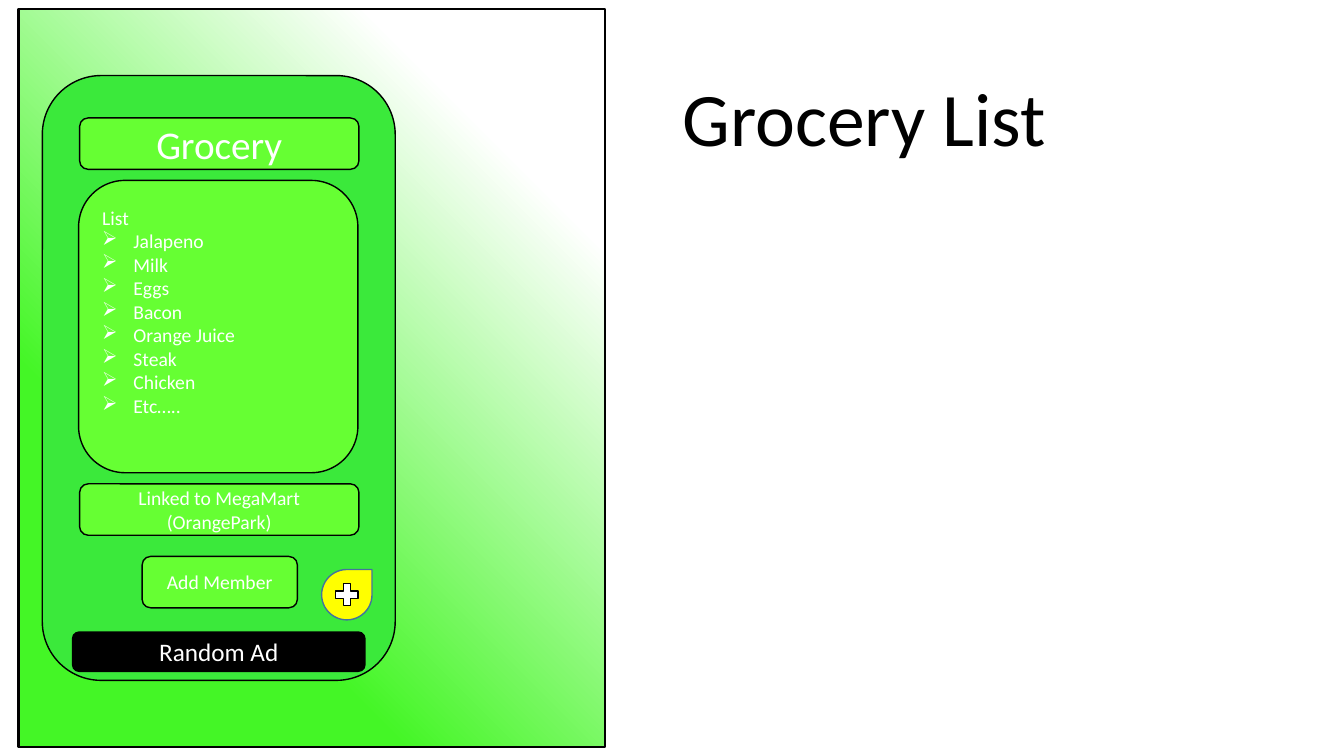
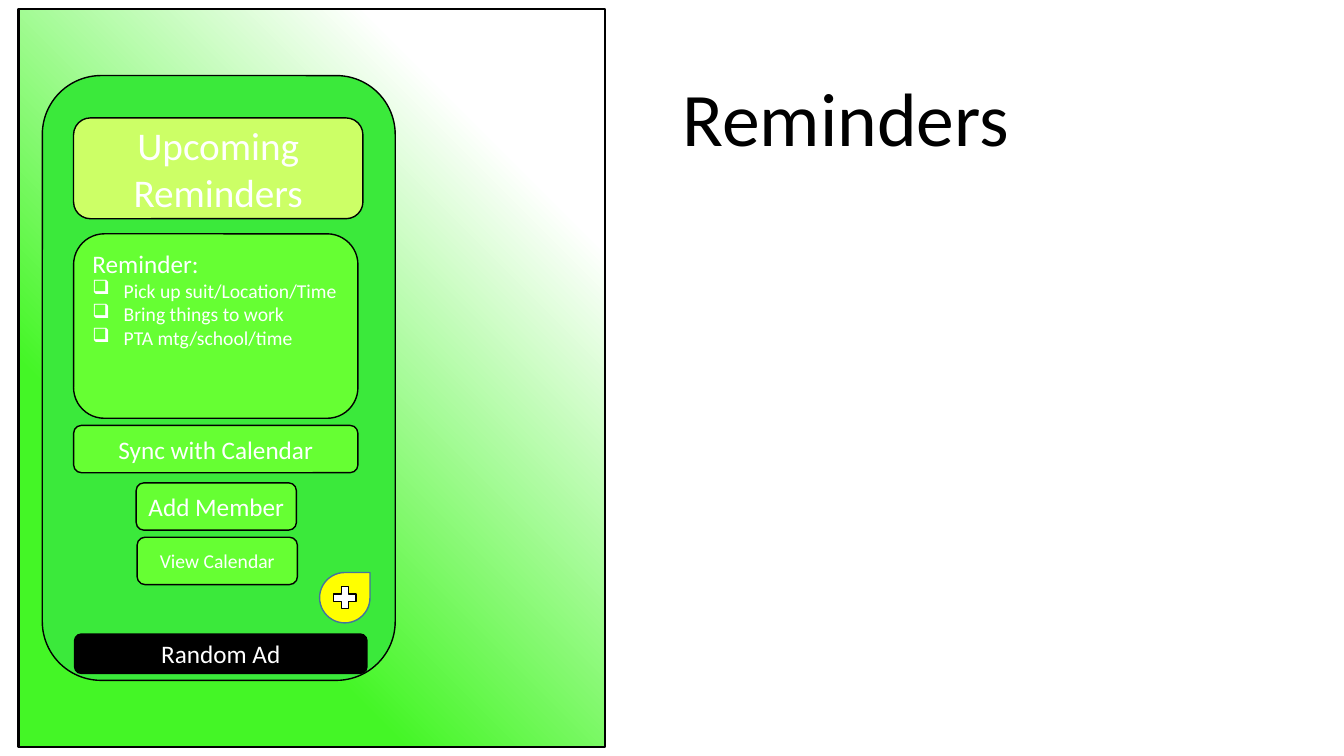
from dataclasses import dataclass
from typing import Any

from pptx import Presentation
from pptx.dml.color import RGBColor
from pptx.enum.shapes import MSO_SHAPE
from pptx.enum.text import MSO_ANCHOR, MSO_AUTO_SIZE, PP_ALIGN
from pptx.oxml import parse_xml
from pptx.oxml.ns import nsdecls, qn
from pptx.util import Inches, Pt

RECT = MSO_SHAPE.RECTANGLE
ROUND = MSO_SHAPE.ROUNDED_RECTANGLE
DROP = MSO_SHAPE.TEAR
PLUS = MSO_SHAPE.MATH_PLUS
MIDDLE = MSO_ANCHOR.MIDDLE
LEFT = PP_ALIGN.LEFT
CENTER = PP_ALIGN.CENTER
GROW = MSO_AUTO_SIZE.SHAPE_TO_FIT_TEXT

FONT = "Calibri"
COLORS = {
    "black": "000000",
    "white": "FFFFFF",
    "glow": "44F626",
    "phone": "3BE93B",
    "key": "66FF33",
    "lime": "CCFF66",
    "yellow": "FFFF00",
    "blue": "43739E",
}
STOPS = ((17, "white"), (18, "white"), (71, "glow"))


@dataclass(frozen=True)
class Box:
    left: float
    top: float
    width: float
    height: float


@dataclass(frozen=True)
class Key:
    box: Box
    text: str
    size: int = 14
    fill: str = "key"


@dataclass(frozen=True)
class Items:
    box: Box
    head: str
    size: int
    mark: str
    lines: tuple[str, ...]
    foot: float


@dataclass(frozen=True)
class Screen:
    title: str
    width: float
    items: Items
    keys: tuple[Key, ...]
    badge: tuple[float, float]


FRAME = Box(0.18, 0.09, 5.82, 7.32)
PHONE = Box(0.42, 0.75, 3.5, 6)

SCREENS = (
    Screen(
        "Grocery List",
        3.85,
        Items(
            Box(0.78, 1.79, 2.77, 2.9), "List", 14, "➢",
            ("Jalapeno", "Milk", "Eggs", "Bacon", "Orange Juice",
             "Steak", "Chicken", "Etc….."),
            0.35,
        ),
        (
            Key(Box(0.79, 1.17, 2.77, 0.51), "Grocery", 28),
            Key(Box(0.79, 4.8, 2.77, 0.51), "Linked to MegaMart (OrangePark)"),
            Key(Box(1.41, 5.52, 1.54, 0.51), "Add Member"),
            Key(Box(0.72, 6.27, 2.9, 0.39), "Random Ad", 18, "black"),
        ),
        (3.19, 5.65),
    ),
    Screen(
        "Reminders",
        3.48,
        Items(
            Box(0.73, 2.32, 2.82, 1.83), "Reminder:", 18, "❑",
            ("Pick up suit/Location/Time", "Bring things to work",
             "PTA mtg/school/time"),
            0.59,
        ),
        (
            Key(Box(0.73, 4.22, 2.82, 0.47), "Sync with Calendar", 18),
            Key(Box(0.73, 1.17, 2.87, 1), "Upcoming Reminders", 28, "lime"),
            Key(Box(1.35, 4.79, 1.59, 0.47), "Add Member", 18),
            Key(Box(0.74, 6.29, 2.9, 0.39), "Random Ad", 18, "black"),
            Key(Box(1.36, 5.33, 1.59, 0.47), "View Calendar"),
        ),
        (3.17, 5.68),
    ),
)


def color(name: str) -> RGBColor:
    return RGBColor.from_string(COLORS[name])


def place(box: Box) -> tuple[int, ...]:
    return tuple(Inches(n) for n in (box.left, box.top, box.width, box.height))


def draw(shapes: Any, kind: Any, box: Box, fill: str = "",
         line: str = "black", weight: float = 1) -> Any:
    shape = shapes.add_shape(kind, *place(box))
    shape.shadow.inherit = False
    if fill:
        shape.fill.solid()
        shape.fill.fore_color.rgb = color(fill)
    shape.line.color.rgb = color(line)
    shape.line.width = Pt(weight)
    return shape


def style(para: Any, size: int, tint: str = "white", align: Any = LEFT) -> None:
    para.alignment = align
    for run in para.runs:
        run.font.name = FONT
        run.font.size = Pt(size)
        run.font.color.rgb = color(tint)


def mark(para: Any, char: str) -> None:
    props = para._p.get_or_add_pPr()
    props.set("marL", str(Inches(0.31)))
    props.set("indent", str(-Inches(0.31)))
    props.append(parse_xml(f'<a:buChar {nsdecls("a")} char="{char}"/>'))


def draw_frame(shapes: Any) -> None:
    frame = draw(shapes, RECT, FRAME, weight=2)
    stops = "".join(
        f'<a:gs pos="{pos * 1000}"><a:srgbClr val="{COLORS[name]}"/></a:gs>'
        for pos, name in STOPS
    )
    blend = parse_xml(
        f'<a:gradFill {nsdecls("a")}><a:gsLst>{stops}</a:gsLst>'
        '<a:path path="circle"><a:fillToRect l="100000" b="100000"/></a:path>'
        '</a:gradFill>'
    )
    frame._element.spPr.find(qn("a:prstGeom")).addnext(blend)


def draw_key(shapes: Any, key: Key) -> None:
    frame = draw(shapes, ROUND, key.box, key.fill).text_frame
    frame.word_wrap = True
    frame.vertical_anchor = MIDDLE
    frame.text = key.text
    style(frame.paragraphs[0], key.size, align=CENTER)


def draw_items(shapes: Any, items: Items) -> None:
    frame = draw(shapes, ROUND, items.box, "key").text_frame
    frame.word_wrap = True
    frame.vertical_anchor = MIDDLE
    frame.margin_bottom = Inches(items.foot)
    frame.text = items.head
    style(frame.paragraphs[0], items.size)
    for line in items.lines:
        para = frame.add_paragraph()
        para.text = line
        style(para, 14)
        mark(para, items.mark)


def draw_badge(shapes: Any, left: float, top: float) -> None:
    draw(shapes, DROP, Box(left, top, 0.5, 0.5), "yellow", "blue")
    draw(shapes, PLUS, Box(left + 0.1, top + 0.1, 0.3, 0.3), "white")


def draw_title(shapes: Any, text: str, width: float) -> None:
    frame = shapes.add_textbox(*place(Box(6.67, 0.65, width, 1.01))).text_frame
    frame.word_wrap = False
    frame.auto_size = GROW
    frame.text = text
    style(frame.paragraphs[0], 54, "black")


def build(deck: Any, screen: Screen) -> None:
    shapes = deck.slides.add_slide(deck.slide_layouts[6]).shapes
    draw_frame(shapes)
    parts = shapes.add_group_shape().shapes
    draw(parts, ROUND, PHONE, "phone")
    draw_items(parts, screen.items)
    for key in screen.keys:
        draw_key(parts, key)
    draw_badge(parts, *screen.badge)
    draw_title(shapes, screen.title, screen.width)


def main() -> None:
    deck = Presentation()
    deck.slide_width = Inches(13.33)
    deck.slide_height = Inches(7.5)
    for screen in SCREENS:
        build(deck, screen)
    deck.save("out.pptx")


if __name__ == "__main__":
    main()
